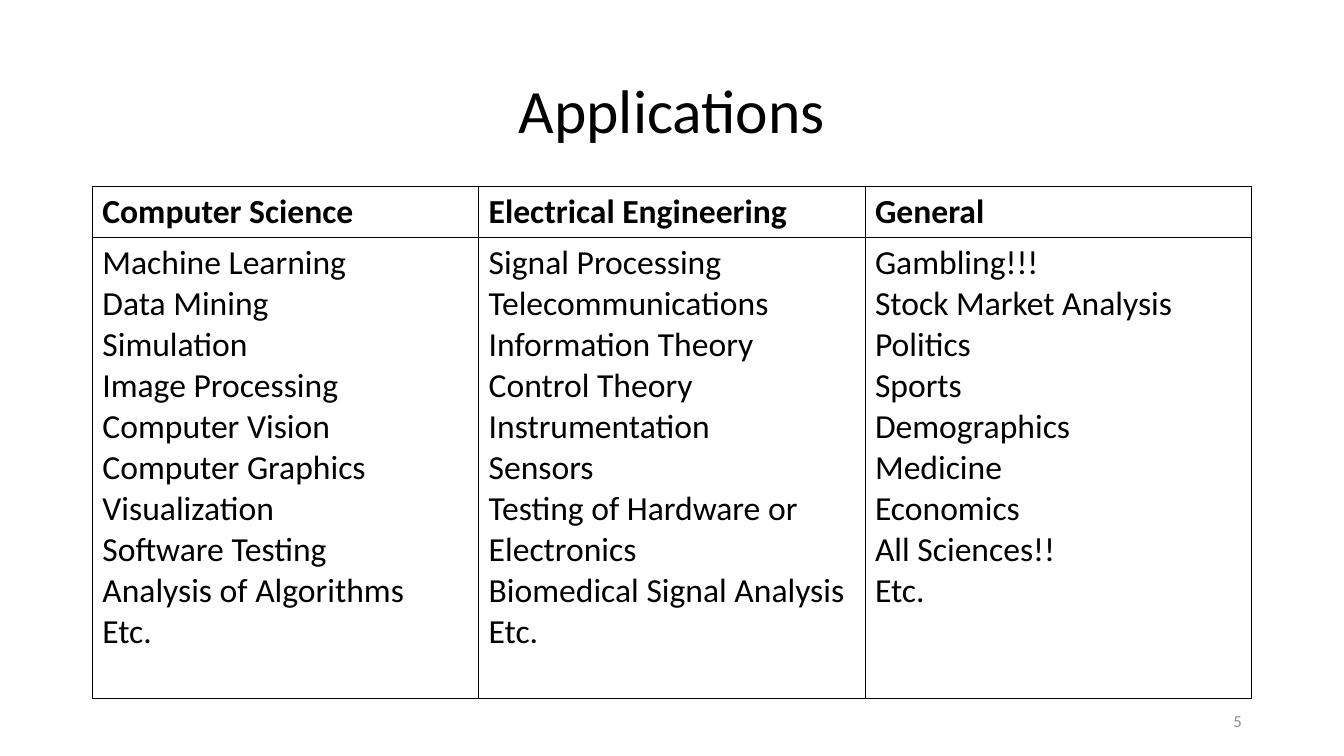
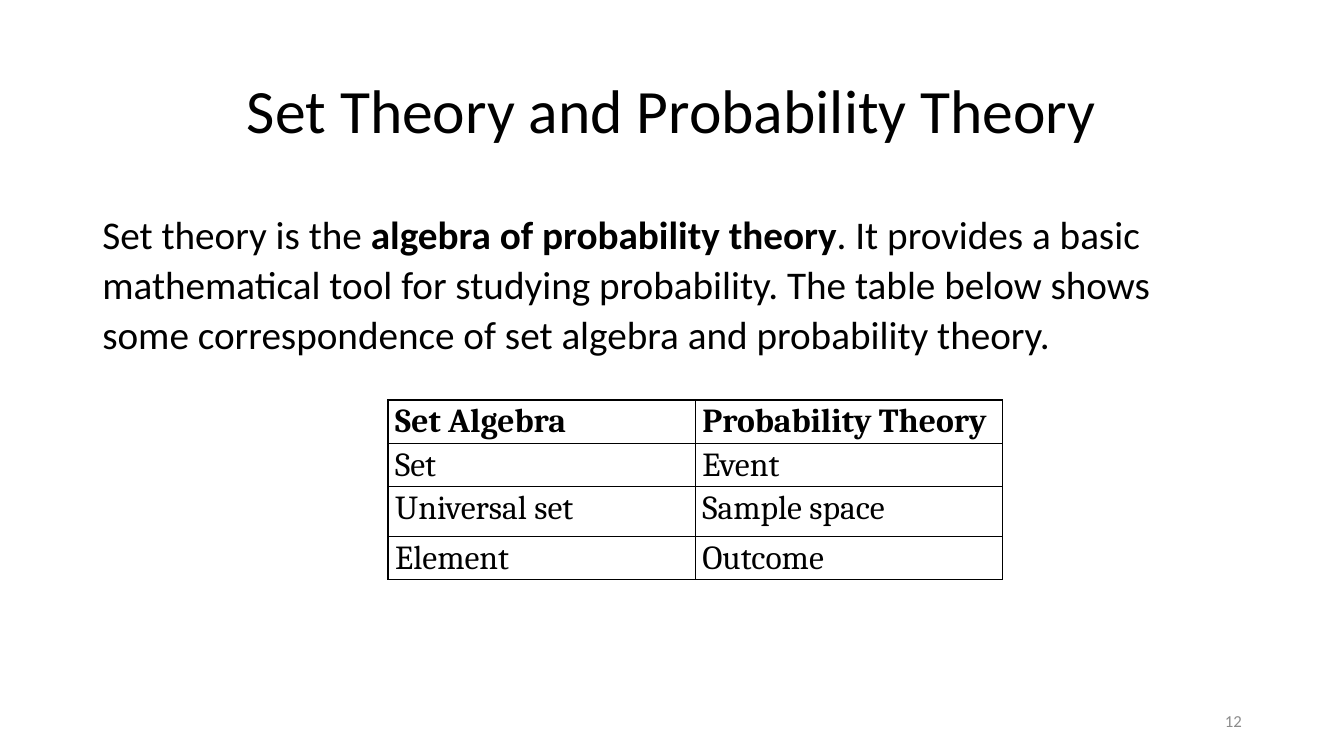
from lxml import etree
from pptx import Presentation
from pptx import util as u
from pptx.dml import color
from pptx.enum import text
from pptx.oxml import ns

LEFT, WIDTH = 2.33, 29.21


def rgb(value):
    return color.RGBColor.from_string(value)


class Deck:
    INK, MUTED, PAPER = "000000", "8C8C8C", "FFFFFF"
    SANS, SERIF = "Calibri", "Cambria"

    def __init__(self):
        self.prs = Presentation()
        self.prs.slide_width = u.Cm(33.87)
        self.prs.slide_height = u.Cm(19.05)
        self.slide = None

    def new_slide(self, title, number):
        self.slide = self.prs.slides.add_slide(self.prs.slide_layouts[6])
        background = self.slide.background.fill
        background.solid()
        background.fore_color.rgb = rgb(self.PAPER)
        middle = text.MSO_ANCHOR.MIDDLE
        self.text((LEFT, 1.01, WIDTH, 3.68), [(title, False)], 44,
                  anchor=middle, align=text.PP_ALIGN.CENTER, spacing=0.9)
        self.text((23.93, 17.65, 7.62, 1.01), [(str(number), False)], 12,
                  anchor=middle, align=text.PP_ALIGN.RIGHT, ink=self.MUTED)

    def runs(self, paragraph, pieces, size, font=SANS, ink=INK,
             align=text.PP_ALIGN.LEFT, spacing=1.0):
        paragraph.alignment = align
        paragraph.line_spacing = spacing
        for words, bold in pieces:
            run = paragraph.add_run()
            run.text = words
            run.font.name = font
            run.font.size = u.Pt(size)
            run.font.bold = bold
            run.font.color.rgb = rgb(ink)

    def text(self, box, pieces, size, anchor=text.MSO_ANCHOR.TOP, **style):
        frame = self.slide.shapes.add_textbox(*map(u.Cm, box)).text_frame
        frame.word_wrap = True
        frame.vertical_anchor = anchor
        self.runs(frame.paragraphs[0], pieces, size, **style)

    def border(self, cell):
        properties = cell._tc.get_or_add_tcPr()
        for side in ("a:lnL", "a:lnR", "a:lnT", "a:lnB"):
            line = etree.SubElement(properties, ns.qn(side), w=str(u.Pt(1)))
            fill = etree.SubElement(line, ns.qn("a:solidFill"))
            etree.SubElement(fill, ns.qn("a:srgbClr"), val=self.INK)

    def table(self, left, top, column_width, row_heights, rows,
              margins=(0.25, 0.13), **style):
        columns = len(rows[0])
        grid = self.slide.shapes.add_table(
            len(rows), columns, u.Cm(left), u.Cm(top),
            u.Cm(column_width * columns), u.Cm(sum(row_heights))).table
        grid.first_row = grid.horz_banding = False
        for column in grid.columns:
            column.width = u.Cm(column_width)
        for r, (height, entries) in enumerate(zip(row_heights, rows)):
            grid.rows[r].height = u.Cm(height)
            for c, entry in enumerate(entries):
                cell = grid.cell(r, c)
                self.border(cell)
                cell.fill.background()
                cell.margin_left = cell.margin_right = u.Cm(margins[0])
                cell.margin_top = cell.margin_bottom = u.Cm(margins[1])
                frame = cell.text_frame
                for i, item in enumerate(entry.split("\n")):
                    paragraph = frame.add_paragraph() if i else frame.paragraphs[0]
                    self.runs(paragraph, [(item, r == 0)], 24, **style)


COMPUTER_SCIENCE = """Machine Learning
Data Mining
Simulation
Image Processing
Computer Vision
Computer Graphics
Visualization
Software Testing
Analysis of Algorithms
Etc."""

ELECTRICAL_ENGINEERING = """Signal Processing
Telecommunications
Information Theory
Control Theory
Instrumentation
Sensors
Testing of Hardware or Electronics
Biomedical Signal Analysis
Etc."""

GENERAL = """Gambling!!!
Stock Market Analysis
Politics
Sports
Demographics
Medicine
Economics
All Sciences!!
Etc."""


def main():
    deck = Deck()

    deck.new_slide("Applications", 5)
    deck.table(LEFT, 4.7, WIDTH / 3, (1.29, 11.61), [
        ("Computer Science", "Electrical Engineering", "General"),
        (COMPUTER_SCIENCE, ELECTRICAL_ENGINEERING, GENERAL),
    ])

    deck.new_slide("Set Theory and Probability Theory", 12)
    deck.text((LEFT, 5.08, WIDTH, 12.09), [
        ("Set theory is the ", False),
        ("algebra of probability theory", True),
        (". It provides a basic mathematical tool for studying probability. "
         "The table below shows some correspondence of set algebra and "
         "probability theory.", False),
    ], 28, spacing=1.07)
    deck.table(9.78, 10.08, 7.74, (1.09, 1.09, 1.25, 1.09), [
        ("Set Algebra", "Probability Theory"),
        ("Set", "Event"),
        ("Universal set", "Sample space"),
        ("Element", "Outcome"),
    ], margins=(0.18, 0), font=deck.SERIF, spacing=1.07)

    deck.prs.save("out.pptx")


if __name__ == "__main__":
    main()
